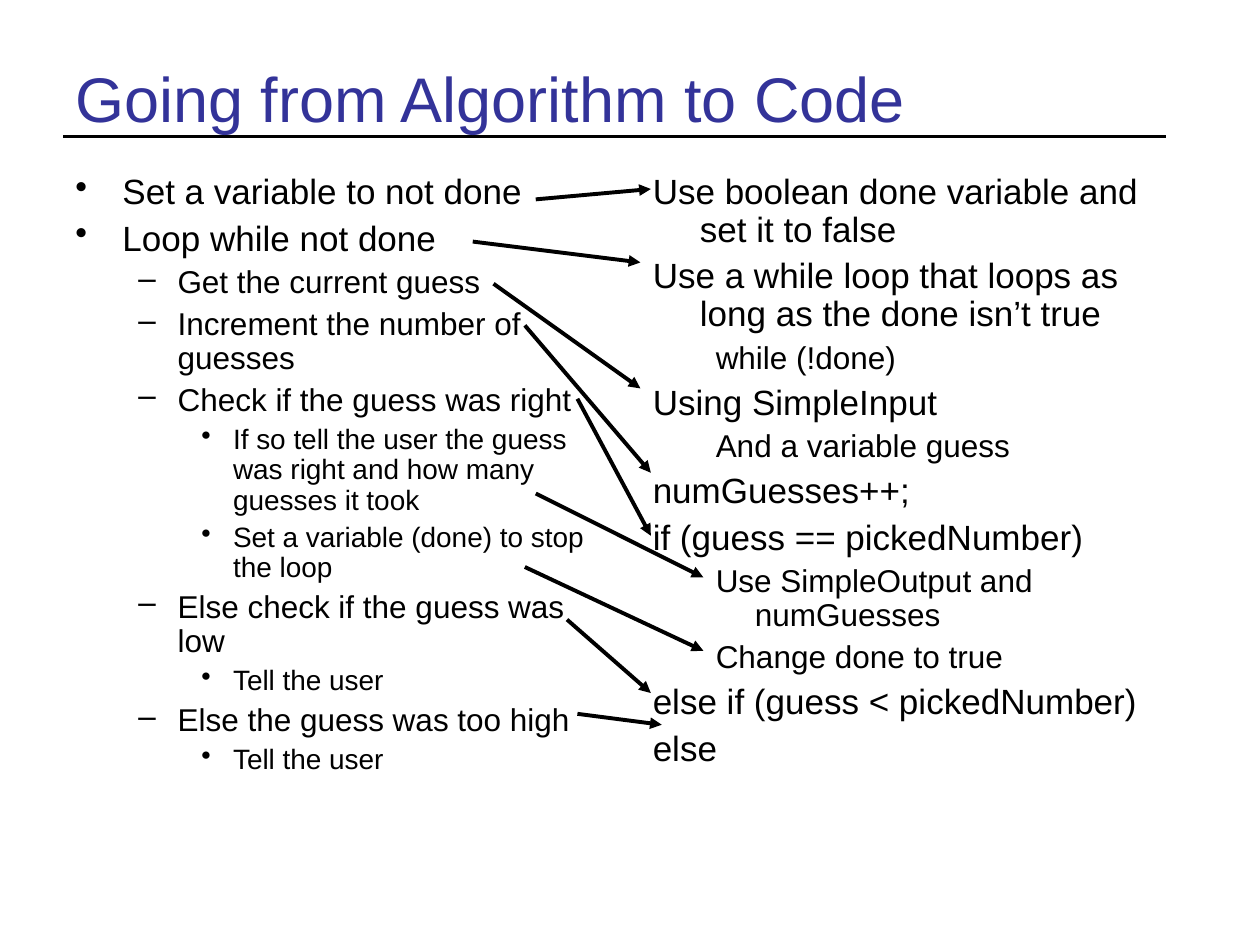
from lxml import etree
from pptx import Presentation
from pptx.dml.color import RGBColor
from pptx.enum.shapes import MSO_CONNECTOR
from pptx.enum.text import MSO_ANCHOR
from pptx.oxml.ns import qn
from pptx.util import Cm, Pt

STRAIGHT = MSO_CONNECTOR.STRAIGHT
MIDDLE = MSO_ANCHOR.MIDDLE
BLACK = RGBColor(0x00, 0x00, 0x00)
TITLE_BLUE = RGBColor(0x33, 0x33, 0x99)
FONT = "Arial"

# Per outline level: text size, space before (pt), left indent, hanging indent (cm), bullet
LEVELS = [
    (20, 5, 0.95, 0.95, "•"),
    (18, 4.5, 2.06, 0.79, "–"),
    (16, 4, 3.18, 0.64, "•"),
]

ALGORITHM = [
    (0, "Set a variable to not done"),
    (0, "Loop while not done"),
    (1, "Get the current guess"),
    (1, "Increment the number of guesses"),
    (1, "Check if the guess was right"),
    (2, "If so tell the user the guess was right and how many guesses it took"),
    (2, "Set a variable (done) to stop the loop"),
    (1, "Else check if the guess was low"),
    (2, "Tell the user"),
    (1, "Else the guess was too high"),
    (2, "Tell the user"),
]

CODE = [
    (0, "Use boolean done variable and set it to false"),
    (0, "Use a while loop that loops as long as the done isn’t true"),
    (1, "while (!done)"),
    (0, "Using SimpleInput"),
    (1, "And a variable guess"),
    (0, "numGuesses++;"),
    (0, "if (guess == pickedNumber)"),
    (1, "Use SimpleOutput and numGuesses"),
    (1, "Change done to true"),
    (0, "else if (guess < pickedNumber)"),
    (0, "else"),
]

# Arrows from algorithm step to code: x and y of start, x and y of end (cm)
ARROWS = [
    (10.8, 4.02, 13.12, 3.81),
    (9.53, 4.87, 12.91, 5.29),
    (9.95, 5.72, 12.91, 7.83),
    (10.58, 6.56, 13.12, 9.53),
    (11.64, 8.04, 13.12, 10.8),
    (10.8, 9.95, 14.18, 11.64),
    (10.58, 11.43, 14.18, 13.12),
    (11.43, 12.49, 13.12, 13.97),
    (11.64, 14.39, 13.34, 14.61),
]


def add_line(start_x, start_y, end_x, end_y, width):
    line = slide.shapes.add_connector(
        STRAIGHT, Cm(start_x), Cm(start_y), Cm(end_x), Cm(end_y))
    line.line.color.rgb = BLACK
    line.line.width = Pt(width)
    etree.SubElement(line._element.spPr, qn("a:effectLst"))
    return line


def add_text_box(left, top, width, height):
    shape = slide.shapes.add_textbox(Cm(left), Cm(top), Cm(width), Cm(height))
    shape.text_frame.word_wrap = True
    return shape.text_frame


presentation = Presentation()
presentation.slide_width = Cm(25.4)
presentation.slide_height = Cm(19.05)
slide = presentation.slides.add_slide(presentation.slide_layouts[6])

# Title and the rule below it
add_line(1.27, 2.75, 23.5, 2.75, 1.5)
text_frame = add_text_box(1.27, 0.76, 22.86, 2.41)
text_frame.vertical_anchor = MIDDLE
text_frame.text = "Going from Algorithm to Code"
font = text_frame.paragraphs[0].runs[0].font
font.name = FONT
font.size = Pt(36)
font.color.rgb = TITLE_BLUE

# Algorithm outline on the left, code on the right without bullets
for left, items, bulleted in [(1.27, ALGORITHM, True), (12.91, CODE, False)]:
    text_frame = add_text_box(left, 3.39, 11.22, 13.65)
    for index, (level, text) in enumerate(items):
        paragraph = text_frame.add_paragraph() if index else text_frame.paragraphs[0]
        size, space, indent, hanging, bullet = LEVELS[level]
        paragraph.text = text
        paragraph.level = level
        properties = paragraph._p.get_or_add_pPr()
        properties.set("marL", str(Cm(indent)))
        properties.set("indent", str(-Cm(hanging)))
        if bulleted:
            bullet_color = etree.SubElement(properties, qn("a:buClr"))
            etree.SubElement(bullet_color, qn("a:srgbClr"), val=str(BLACK))
            etree.SubElement(properties, qn("a:buChar"), char=bullet)
        else:
            etree.SubElement(properties, qn("a:buNone"))
        paragraph.line_spacing = 0.9
        paragraph.space_before = Pt(space if index else 0)
        font = paragraph.runs[0].font
        font.name = FONT
        font.size = Pt(size)
        font.color.rgb = BLACK

# Arrows from each step to its code
for arrow in ARROWS:
    line = add_line(*arrow, 2.25)
    etree.SubElement(line.line._get_or_add_ln(), qn("a:tailEnd"), type="triangle")

presentation.save("out.pptx")
